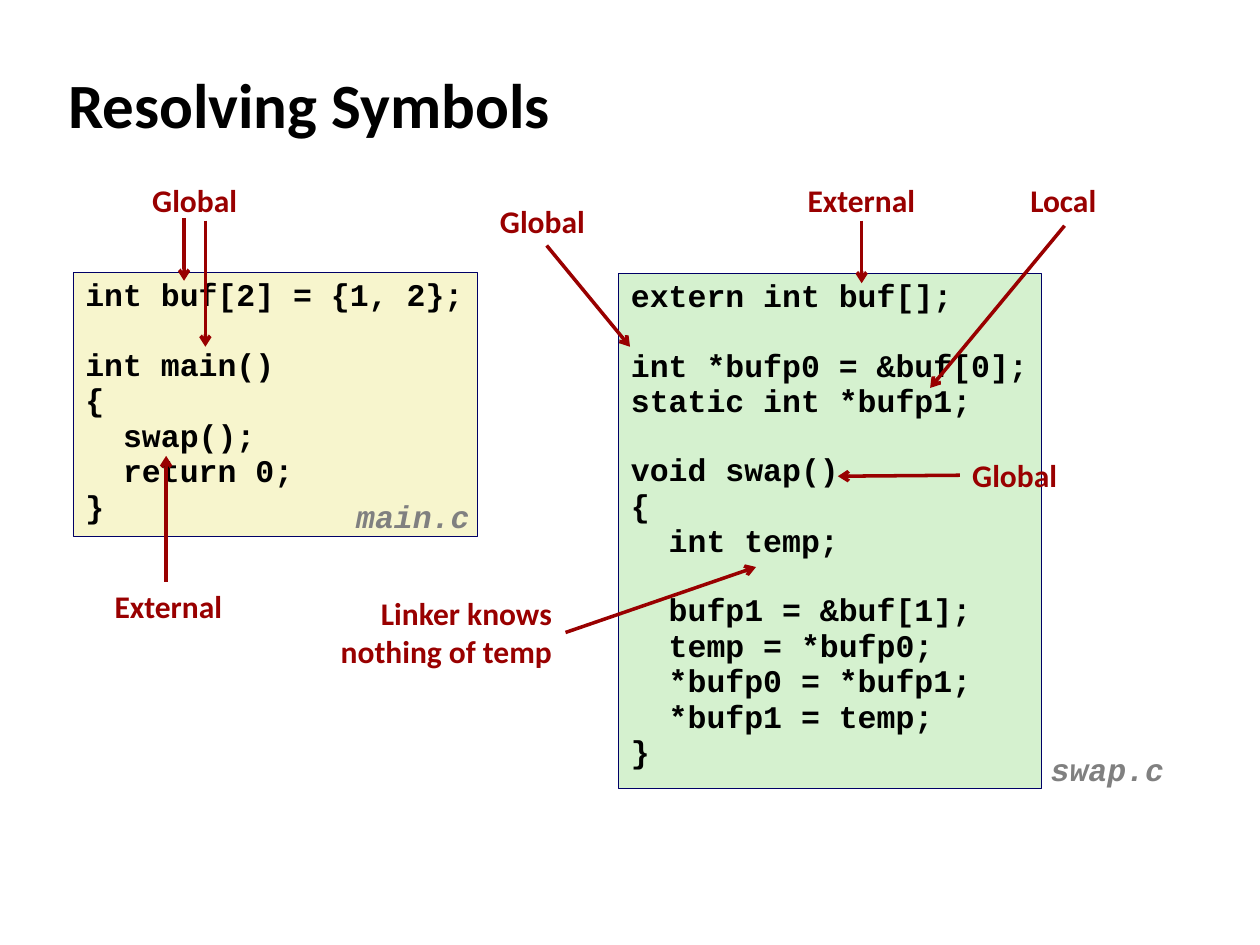
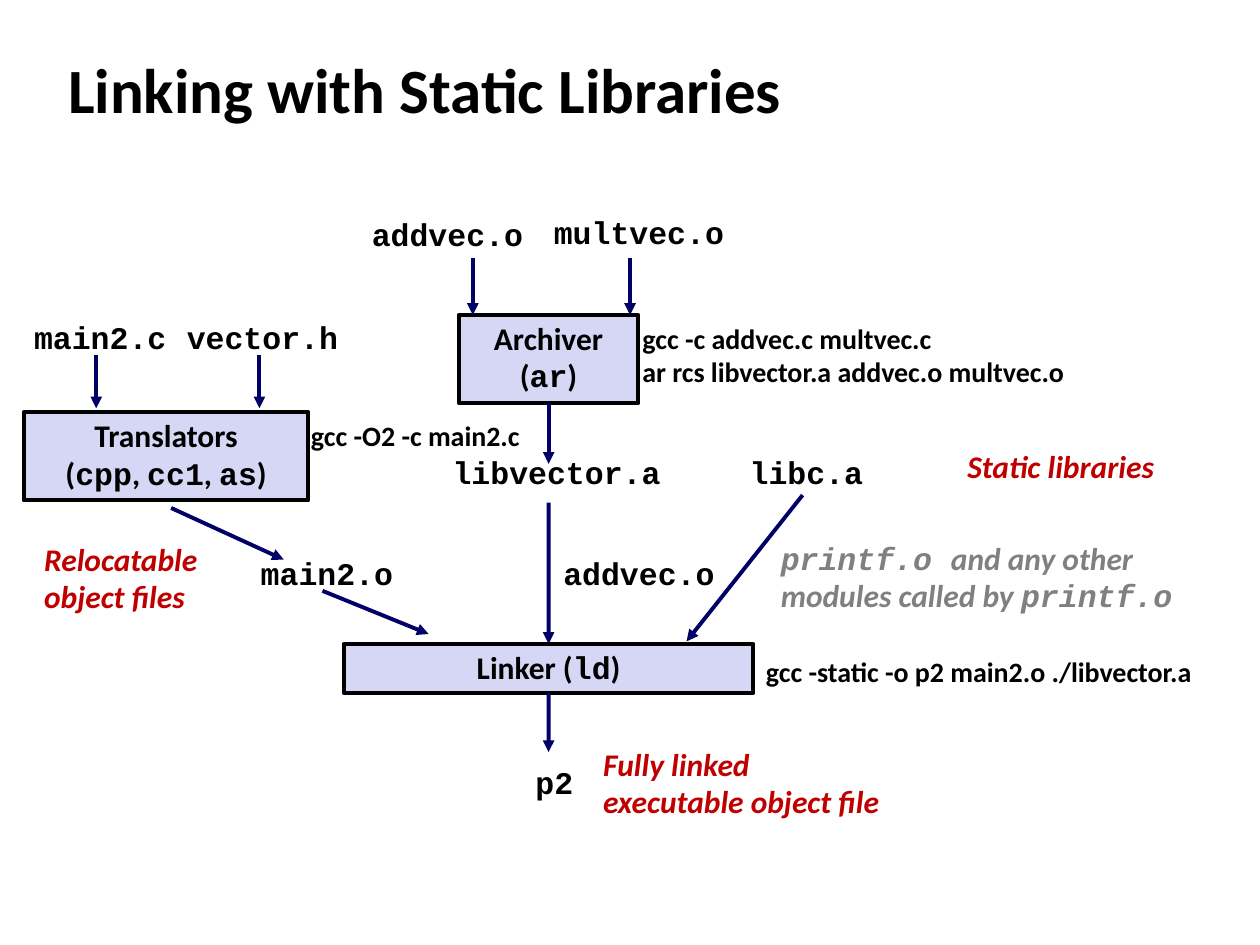
from collections import namedtuple
from math import isclose

from pptx import Presentation
from pptx.dml.color import RGBColor
from pptx.enum.shapes import MSO_CONNECTOR, MSO_SHAPE
from pptx.enum.text import MSO_ANCHOR, MSO_AUTO_SIZE, PP_ALIGN
from pptx.oxml.ns import qn
from pptx.oxml.xmlchemy import OxmlElement
from pptx.util import Cm, Pt

BLACK = RGBColor(0x00, 0x00, 0x00)
GREY = RGBColor(0x80, 0x80, 0x80)
NAVY = RGBColor(0x00, 0x00, 0x66)
CRIMSON = RGBColor(0x99, 0x00, 0x00)
RED = RGBColor(0xC0, 0x00, 0x00)
CREAM = RGBColor(0xF7, 0xF5, 0xCD)
MINT = RGBColor(0xD5, 0xF1, 0xCF)
LAVENDER = RGBColor(0xD6, 0xD6, 0xF5)

SANS, MONO = "Calibri", "Courier New"
TITLE_ONLY = 5

# Lengths in centimetres; places inside a region count from its box
Box = namedtuple("Box", "left top width height")
Style = namedtuple("Style", "font size color italic align spacing line_height")
Label = namedtuple("Label", "text x y width style")
Arrow = namedtuple("Arrow", "x1 y1 x2 y2")

LEFT, CENTER, RIGHT = PP_ALIGN.LEFT, PP_ALIGN.CENTER, PP_ALIGN.RIGHT
TITLE = Style(SANS, 36, BLACK, False, LEFT, 1.0, 1.5)
CODE = Style(MONO, 18, BLACK, False, LEFT, 0.94, 0.74)
SOURCE_NAME = CODE._replace(color=GREY, italic=True)
FILE = CODE._replace(align=CENTER)
STEP = Style(SANS, 18, BLACK, False, CENTER, 0.98, 0.77)
NOTE = STEP._replace(color=RED, italic=True, align=LEFT)
MODULES = NOTE._replace(color=GREY, spacing=0.96)
COMMAND = Style(SANS, 16, BLACK, False, LEFT, 1.0, 0.69)
CALLOUT = Style(SANS, 18, CRIMSON, False, LEFT, 1.0, 0.77)
CALLOUT_RIGHT = CALLOUT._replace(align=RIGHT)
BLANK_LINE = Pt(19.2)

MAIN_C = """int buf[2] = {1, 2};

int main()
{
  swap();
  return 0;
}"""

SWAP_C = """extern int buf[];

int *bufp0 = &buf[0];
static int *bufp1;

void swap()
{
  int temp;

  bufp1 = &buf[1];
  temp = *bufp0;
  *bufp0 = *bufp1;
  *bufp1 = temp;
}"""


def apply(target, **values):
    for name, value in values.items():
        setattr(target, name, value)


def write(frame, text, style):
    """Fill a frame; parts between backticks are set in the code font."""
    paragraph, gap = frame.paragraphs[0], 0
    for number, line in enumerate(text.split("\n")):
        if not line:
            gap = BLANK_LINE
            continue
        if number:
            paragraph = frame.add_paragraph()
        apply(paragraph, alignment=style.align, line_spacing=style.spacing,
              space_before=gap)
        gap = 0
        for index, part in enumerate(line.split("`")):
            if part:
                run = paragraph.add_run()
                run.text = part
                apply(run.font, name=MONO if index % 2 else style.font,
                      size=Pt(style.size), bold=True, italic=style.italic)
                run.font.color.rgb = style.color


def add_title(slide, text, top):
    title = slide.shapes.title
    apply(title, left=Cm(1.12), top=Cm(top), width=Cm(24.2), height=Cm(2.18))
    title.text_frame.vertical_anchor = MSO_ANCHOR.MIDDLE
    write(title.text_frame, text, TITLE)


def add_label(slide, box, label):
    height = 0.25 + label.style.line_height * len(label.text.split("\n"))
    frame = slide.shapes.add_textbox(
        Cm(box.left + label.x), Cm(box.top + label.y),
        Cm(label.width), Cm(height)).text_frame
    apply(frame, word_wrap=False, auto_size=MSO_AUTO_SIZE.SHAPE_TO_FIT_TEXT)
    write(frame, label.text, label.style)


def add_panel(slide, box, fill, line, line_width, text, style, wrap):
    panel = slide.shapes.add_shape(MSO_SHAPE.RECTANGLE, *map(Cm, box))
    panel.shadow.inherit = False
    panel.fill.solid()
    panel.fill.fore_color.rgb = fill
    panel.line.color.rgb = line
    panel.line.width = Pt(line_width)
    apply(panel.text_frame, word_wrap=wrap, vertical_anchor=MSO_ANCHOR.TOP,
          auto_size=MSO_AUTO_SIZE.SHAPE_TO_FIT_TEXT)
    write(panel.text_frame, text, style)
    return panel


def add_arrow(slide, box, arrow, color, width, head):
    connector = slide.shapes.add_connector(
        MSO_CONNECTOR.STRAIGHT,
        Cm(box.left + arrow.x1), Cm(box.top + arrow.y1),
        Cm(box.left + arrow.x2), Cm(box.top + arrow.y2))
    connector.line.color.rgb = color
    connector.line.width = Pt(width)
    properties = connector.element.spPr
    tip = OxmlElement("a:tailEnd")
    tip.set("type", head)
    properties.find(qn("a:ln")).append(tip)
    properties.append(OxmlElement("a:effectLst"))
    return connector


def code_region(slide, box, fill, code, source_name, callouts, arrows):
    """A source listing with its file name and the callouts around it."""
    add_panel(slide, box, fill, NAVY, 0.25, code, CODE, False)
    add_label(slide, box, source_name)
    for callout in callouts:
        add_label(slide, box, callout)
    for arrow in arrows:
        add_arrow(slide, box, arrow, CRIMSON, 2, "arrow")


def tool_region(slide, box, tool_text, labels, arrows):
    """A build tool with its files, commands and arrows."""
    tool = add_panel(slide, box, LAVENDER, BLACK, 2.25, tool_text, STEP, True)
    for label in labels:
        add_label(slide, box, label)
    for arrow in arrows:
        connector = add_arrow(slide, box, arrow, NAVY, 2.25, "triangle")
        middle = box.width / 2
        if isclose(arrow.x1, middle) and isclose(arrow.y1, box.height):
            connector.begin_connect(tool, 2)
        if isclose(arrow.x2, middle) and arrow.y2 == 0:
            connector.end_connect(tool, 0)


def resolving_symbols(slide):
    add_title(slide, "Resolving Symbols", 0.99)
    code_region(
        slide, Box(1.47, 5.49, 8.15, 5.33), CREAM, MAIN_C,
        Label("main.c", 5.46, 4.47, 2.79, SOURCE_NAME),
        [Label("Global", 1.35, -1.96, 2.24, CALLOUT),
         Label("External", 0.59, 6.22, 2.69, CALLOUT)],
        [Arrow(2.24, -1.1, 2.24, 0.17),
         Arrow(2.67, -1.04, 2.67, 1.5),
         Arrow(1.88, 6.24, 1.88, 3.7)])
    code_region(
        slide, Box(12.47, 5.51, 8.53, 10.39), MINT, SWAP_C,
        Label("swap.c", 8.46, 9.55, 2.79, SOURCE_NAME),
        [Label("External", 3.56, -1.98, 2.69, CALLOUT),
         Label("Local", 8.05, -1.98, 1.85, CALLOUT),
         Label("Global", 6.88, 3.56, 2.24, CALLOUT),
         Label("Linker knows\nnothing of temp", -5.89, 6.35, 4.8, CALLOUT_RIGHT),
         Label("Global", -2.64, -1.57, 2.24, CALLOUT)],
        [Arrow(4.9, -1.06, 4.9, 0.2),
         Arrow(8.99, -0.96, 6.28, 2.31),
         Arrow(6.88, 4.07, 4.42, 4.09),
         Arrow(-1.07, 7.24, 2.77, 5.92),
         Arrow(-1.45, -0.56, 0.23, 1.48)])


def static_libraries(slide):
    add_title(slide, "Linking with Static Libraries", 0.69)
    # Translators: sources to relocatable object file
    tool_region(
        slide, Box(0.48, 8.31, 5.74, 1.78),
        "Translators\n(`cpp`, `cc1`, `as`)",
        [Label("main2.c", -0.05, -1.96, 3.18, FILE),
         Label("vector.h", 3.03, -1.96, 3.56, FILE),
         Label("main2.o", 4.52, 2.79, 3.18, FILE),
         Label("gcc -O2 -c main2.c", 5.54, 0, 4.78, COMMAND),
         Label("Relocatable\nobject files", 0.16, 2.49, 3.63, NOTE)],
        [Arrow(1.46, -1.15, 1.46, -0.08),
         Arrow(4.75, -1.15, 4.75, -0.08),
         Arrow(2.97, 1.93, 5.24, 2.97)])
    # Archiver: object files to static library
    tool_region(
        slide, Box(9.25, 6.35, 3.62, 1.78), "Archiver\n(`ar`)",
        [Label("addvec.o", -2.01, -2.08, 3.56, FILE),
         Label("multvec.o", 1.65, -2.11, 3.96, FILE),
         Label("libvector.a", -0.39, 2.72, 4.72, FILE),
         Label("gcc -c addvec.c multvec.c\nar rcs libvector.a addvec.o multvec.o",
               3.45, 0, 9.12, COMMAND)],
        [Arrow(0.28, -1.14, 0.28, 0),
         Arrow(3.45, -1.14, 3.45, 0),
         Arrow(1.81, 1.78, 1.81, 3)])
    # Linker: object files and libraries to executable
    tool_region(
        slide, Box(6.93, 12.98, 8.26, 0.99), "Linker (`ld`)",
        [Label("libc.a", 7.93, -3.91, 2.79, FILE),
         Label("addvec.o", 4.17, -1.88, 3.56, FILE),
         Label("p2", 3.61, 2.34, 1.27, FILE),
         Label("`printf.o `and any other\nmodules called by `printf.o`",
               8.56, -2.18, 8.84, MODULES),
         Label("Static libraries", 12.32, -4.06, 4.32, NOTE),
         Label("Fully linked\nexecutable object file", 4.98, 1.96, 6.15, NOTE),
         Label("gcc -static -o p2 main2.o ./libvector.a",
               8.26, 0.1, 9.22, COMMAND)],
        [Arrow(-0.43, -1.07, 1.71, -0.2),
         Arrow(4.13, -2.85, 4.13, 0),
         Arrow(9.25, -3, 6.91, -0.05),
         Arrow(4.13, 0.99, 4.13, 2.18)])


def main():
    deck = Presentation()
    apply(deck, slide_width=Cm(25.4), slide_height=Cm(19.05))
    for build in (resolving_symbols, static_libraries):
        build(deck.slides.add_slide(deck.slide_layouts[TITLE_ONLY]))
    deck.save("out.pptx")


if __name__ == "__main__":
    main()
